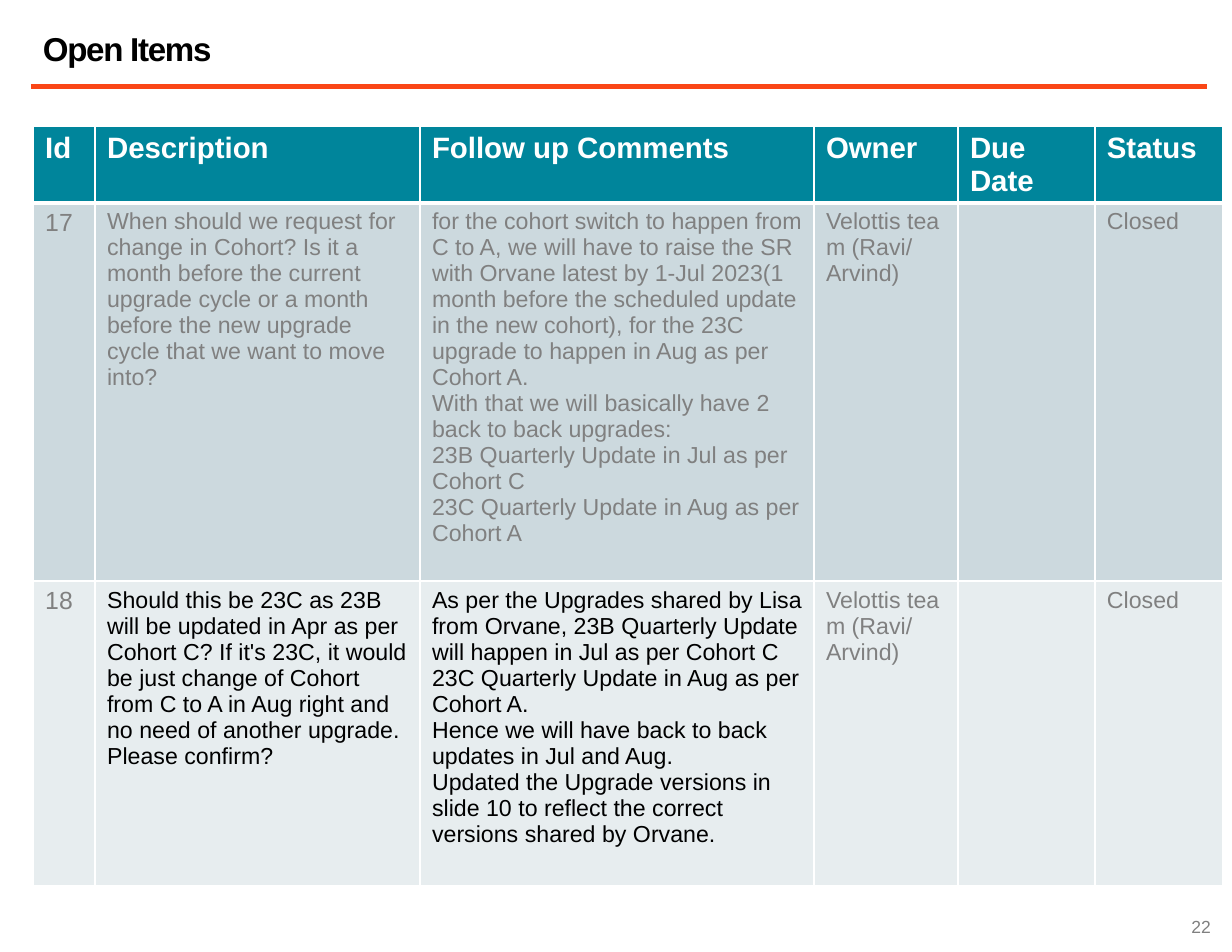
from pptx import Presentation
from pptx.dml.color import RGBColor
from pptx.enum.shapes import MSO_CONNECTOR as Connector
from pptx.enum.text import MSO_ANCHOR as Anchor, PP_ALIGN as Align
from pptx.oxml.ns import qn
from pptx.util import Emu, Pt
from lxml.etree import SubElement

SCALE = 9144
WHITE, BLACK, GREY = "FFFFFF", "000000", "808080"
TEAL, ORANGE = "00859B", "FA4616"
BANDS = ["CCD9DE", "E7EDEF"]
COLUMNS = [52, 273, 331, 121, 115, 107]
ROWS = [64, 318, 256]
HEADINGS = ["Id", "Description", "Follow up Comments", "Owner", "Due Date", "Status"]
HARD_SPACE = chr(160)
OWNER = HARD_SPACE.join(["Velottis", "team", "(Ravi/Arvind)"])
ITEMS = [
    ("17", GREY,
     "When should we request for change in Cohort? Is it a month before the current "
     "upgrade cycle or a month before the new upgrade cycle that we want to move into?",
     ["for the cohort switch to happen from C to A, we will have to raise the SR with "
      "Orvane latest by 1-Jul 2023(1 month before the scheduled update in the new "
      "cohort), for the 23C upgrade to happen in Aug as per Cohort A.",
      "With that we will basically have 2 back to back upgrades:",
      "23B Quarterly Update in Jul as per Cohort C",
      "23C Quarterly Update in Aug as per Cohort A"]),
    ("18", BLACK,
     "Should this be 23C as 23B will be updated in Apr as per Cohort C? If it's 23C, "
     "it would be just change of Cohort from C to A in Aug right and no need of "
     "another upgrade. Please confirm?",
     ["As per the Upgrades shared by Lisa from Orvane, 23B Quarterly Update will "
      "happen in Jul as per Cohort C",
      "23C Quarterly Update in Aug as per Cohort A.",
      "Hence we will have back to back updates in Jul and Aug.",
      "Updated the Upgrade versions in slide 10 to reflect the correct versions "
      "shared by Orvane."]),
]


def px(length):
    """Turn px into EMU."""
    return Emu(round(length * SCALE))


def paint(color_format, color):
    """Set a colour from its hex string."""
    color_format.rgb = RGBColor.from_string(color)


def add_span(para, text, size, color, bold=False):
    """Add one formatted run and return it."""
    span = para.add_run()
    span.text = text
    span.font.name = "Arial"
    span.font.size = Pt(size)
    span.font.bold = bold
    paint(span.font.color, color)
    return span


def add_title(page, left, top, width, height):
    """Place the title and the rule along the bottom of its box."""
    title = page.shapes.title
    title.left, title.top, title.width, title.height = map(px, (left, top, width, height))
    frame = title.text_frame
    frame.word_wrap = True
    frame.vertical_anchor = Anchor.TOP
    frame.margin_left = frame.margin_right = px(10)
    frame.margin_top = frame.margin_bottom = px(5)
    para = frame.paragraphs[0]
    para.alignment = Align.LEFT
    span = add_span(para, "Open Items", 20, BLACK, True)
    span.font._element.set("spc", "-80")
    bottom = px(top + height)
    rule = page.shapes.add_connector(
        Connector.STRAIGHT, px(left), bottom, px(left + width), bottom)
    paint(rule.line.color, ORANGE)
    rule.line.width = Pt(3)
    SubElement(rule._element.spPr, qn("a:effectLst"))


def style_cell(cell, fill, top=1, bottom=1):
    """Give a cell its margins, its white borders and its fill."""
    cell.margin_right = px(8)
    cell.margin_bottom = px(0)
    properties = cell._tc.get_or_add_tcPr()
    for side, width in (("L", 1), ("R", 1), ("T", top), ("B", bottom)):
        border = SubElement(properties, qn(f"a:ln{side}"), w=str(Pt(width)))
        solid = SubElement(border, qn("a:solidFill"))
        SubElement(solid, qn("a:srgbClr"), val=WHITE)
    cell.fill.solid()
    paint(cell.fill.fore_color, fill)


def fill_cell(cell, lines, size, color, bold=False):
    """Write one paragraph for each line."""
    frame = cell.text_frame
    for index, line in enumerate(lines):
        para = frame.add_paragraph() if index else frame.paragraphs[0]
        add_span(para, line, size, color, bold)


def add_items_table(page, left, top):
    """Place the table of open items."""
    table = page.shapes.add_table(
        len(ROWS), len(COLUMNS), px(left), px(top), px(sum(COLUMNS)), px(sum(ROWS))).table
    for column, width in zip(table.columns, COLUMNS):
        column.width = px(width)
    for row, height in zip(table.rows, ROWS):
        row.height = px(height)
    for cell, heading in zip(table.rows[0].cells, HEADINGS):
        style_cell(cell, TEAL, bottom=3)
        fill_cell(cell, [heading], 17.8, WHITE, True)
    for index, (number, color, description, comments) in enumerate(ITEMS):
        contents = [
            ([number], 15, GREY), ([description], 14, color), (comments, 14, color),
            ([OWNER], 14, GREY), ([], 14, GREY), (["Closed"], 14, GREY)]
        for cell, content in zip(table.rows[index + 1].cells, contents):
            style_cell(cell, BANDS[index], top=1 if index else 3)
            fill_cell(cell, *content)


def add_page_number(page, left, top, width, height):
    """Place the page number at the right of its box."""
    box = page.shapes.add_textbox(*map(px, (left, top, width, height)))
    box.text_frame.word_wrap = True
    box.text_frame.vertical_anchor = Anchor.MIDDLE
    para = box.text_frame.paragraphs[0]
    para.alignment = Align.RIGHT
    add_span(para, "22", 10.6, GREY)


def main():
    """Build and save the deck."""
    deck = Presentation()
    deck.slide_width, deck.slide_height = px(1035), px(800)
    page = deck.slides.add_slide(deck.slide_layouts[5])
    add_title(page, 26, 19, 988, 54)
    add_page_number(page, 794, 757, 233, 43)
    add_items_table(page, 28, 106)
    deck.save("out.pptx")


if __name__ == "__main__":
    main()
